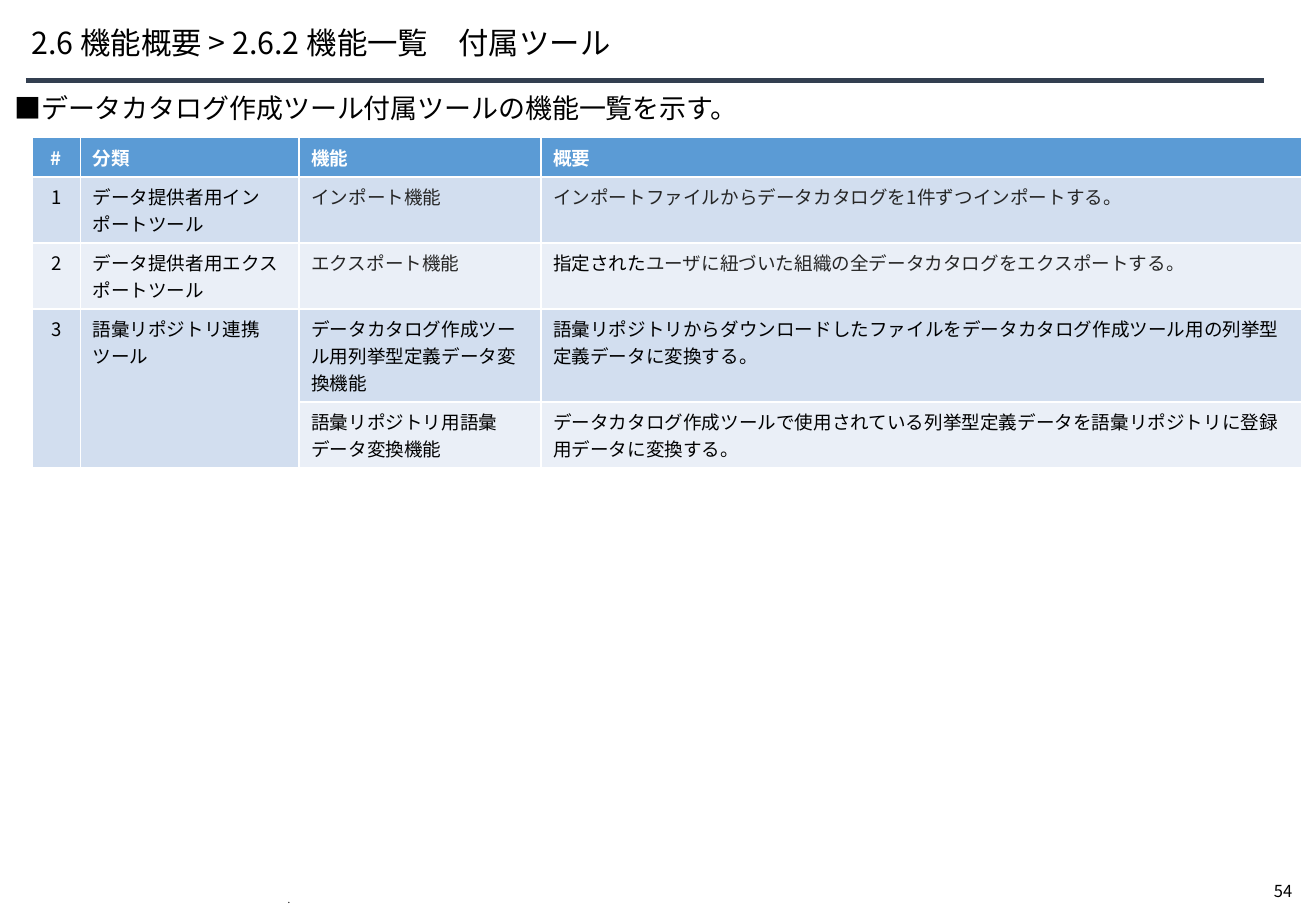
from lxml import etree
from pptx import Presentation
from pptx.dml.color import RGBColor
from pptx.enum.lang import MSO_LANGUAGE_ID
from pptx.enum.shapes import MSO_CONNECTOR, MSO_SHAPE
from pptx.enum.text import MSO_ANCHOR, MSO_AUTO_SIZE, PP_ALIGN
from pptx.oxml.ns import qn
from pptx.util import Pt

STRAIGHT = MSO_CONNECTOR.STRAIGHT
RECTANGLE = MSO_SHAPE.RECTANGLE
MIDDLE, BOTTOM, TOP = MSO_ANCHOR.MIDDLE, MSO_ANCHOR.BOTTOM, MSO_ANCHOR.TOP
LEFT, CENTER = PP_ALIGN.LEFT, PP_ALIGN.CENTER
NO_AUTOFIT = MSO_AUTO_SIZE.NONE
JAPANESE = MSO_LANGUAGE_ID.JAPANESE

FONT = "Noto Sans CJK JP"
BLACK = RGBColor(0x00, 0x00, 0x00)
DARK_GRAY = RGBColor(0x26, 0x26, 0x26)
WHITE = RGBColor(0xFF, 0xFF, 0xFF)
NAVY = RGBColor(0x33, 0x3F, 0x50)
HEADER_BLUE = RGBColor(0x5B, 0x9B, 0xD5)
BAND_DARK = RGBColor(0xD2, 0xDE, 0xEF)
BAND_LIGHT = RGBColor(0xEA, 0xEF, 0xF7)


def add_text(frame, text, size=11, color=BLACK, bold=False, align=LEFT, anchor=TOP, spacing=None):
    """Append a run to the frame's first paragraph and format both."""
    frame.vertical_anchor = anchor
    para = frame.paragraphs[0]
    para.alignment = align
    para.line_spacing = spacing
    span = para.add_run()
    span.text = text
    span.font.size = Pt(size)
    span.font.bold = bold
    span.font.color.rgb = color
    span.font.name = FONT
    span.font.language_id = JAPANESE
    latin = span.font._element.find(qn("a:latin"))
    east_asian = etree.Element(qn("a:ea"), typeface=FONT)
    latin.addnext(east_asian)


deck = Presentation()
deck.slide_width, deck.slide_height = Pt(780), Pt(540)
page = deck.slides.add_slide(deck.slide_layouts[5])

# Title and rule
title = page.shapes.title
title.left, title.top, title.width, title.height = Pt(18.7), Pt(9.4), Pt(714), Pt(34)
frame = title.text_frame
frame.auto_size = NO_AUTOFIT
frame.margin_left, frame.margin_right = 0, Pt(7.2)
frame.margin_top = frame.margin_bottom = Pt(3.6)
add_text(frame, "2.6 機能概要 > 2.6.2 機能一覧　付属ツール", size=18, anchor=MIDDLE, spacing=0.9)

rule = page.shapes.add_connector(STRAIGHT, Pt(15.4), Pt(47.8), Pt(749.5), Pt(47.8))
rule.line.color.rgb = NAVY
rule.line.width = Pt(3)
etree.SubElement(rule._element.spPr, qn("a:effectLst"))

# Function table
HEADINGS = ["#", "分類", "機能", "概要"]
FUNCTIONS = [
    ["1", "データ提供者用インポートツール", "インポート機能",
     "インポートファイルからデータカタログを1件ずつインポートする。"],
    ["2", "データ提供者用エクスポートツール", "エクスポート機能",
     "指定されたユーザに紐づいた組織の全データカタログをエクスポートする。"],
    ["3", "語彙リポジトリ連携ツール", "データカタログ作成ツール用列挙型定義データ変換機能",
     "語彙リポジトリからダウンロードしたファイルをデータカタログ作成ツール用の列挙型定義データに変換する。"],
    ["", "", "語彙リポジトリ用語彙データ変換機能",
     "データカタログ作成ツールで使用されている列挙型定義データを語彙リポジトリに登録用データに変換する。"],
]
BLACK_LEAD = "指定された"
COLUMN_WIDTHS = [28.8, 129.6, 143.3, 450.7]
ROW_HEIGHTS = [23, 39, 39, 55, 39]

table = page.shapes.add_table(
    len(ROW_HEIGHTS), len(COLUMN_WIDTHS), Pt(18.9), Pt(81.6),
    Pt(sum(COLUMN_WIDTHS)), Pt(sum(ROW_HEIGHTS))).table
for column, width in zip(table.columns, COLUMN_WIDTHS):
    column.width = Pt(width)
for row, height in zip(table.rows, ROW_HEIGHTS):
    row.height = Pt(height)
for column_index in (0, 1):
    table.cell(3, column_index).merge(table.cell(4, column_index))

for row_index, texts in enumerate([HEADINGS] + FUNCTIONS):
    is_header = row_index == 0
    band = HEADER_BLUE if is_header else BAND_DARK if row_index % 2 else BAND_LIGHT
    for column_index, text in enumerate(texts):
        cell = table.cell(row_index, column_index)
        cell.fill.solid()
        cell.fill.fore_color.rgb = band
        if cell.is_spanned:
            continue
        if is_header:
            cell.vertical_anchor = MIDDLE
        is_gray = row_index in (1, 2) and column_index >= 2
        color = WHITE if is_header else DARK_GRAY if is_gray else BLACK
        align = CENTER if column_index == 0 else LEFT
        if text.startswith(BLACK_LEAD):
            add_text(cell.text_frame, BLACK_LEAD)
            text = text.removeprefix(BLACK_LEAD)
        add_text(cell.text_frame, text, color=color, bold=is_header, align=align)

# Lead sentence
lead = page.shapes.add_shape(RECTANGLE, Pt(1.4), Pt(51.8), Pt(777), Pt(24.5))
lead.shadow.inherit = False
lead.fill.solid()
lead.fill.fore_color.rgb = WHITE
lead.line.fill.background()
add_text(lead.text_frame, "■データカタログ作成ツール付属ツールの機能一覧を示す。", size=16, anchor=MIDDLE)

# Footer
footer = page.shapes.add_textbox(Pt(163.4), Pt(530), Pt(453.6), Pt(10))
footer.text_frame.word_wrap = True
add_text(footer.text_frame, ".", size=5.7, anchor=BOTTOM, spacing=Pt(1.6))

number = page.shapes.add_textbox(Pt(748), Pt(518.4), Pt(31), Pt(19.4))
number.text_frame.word_wrap = False
add_text(number.text_frame, "54", size=9.8)

deck.save("out.pptx")
